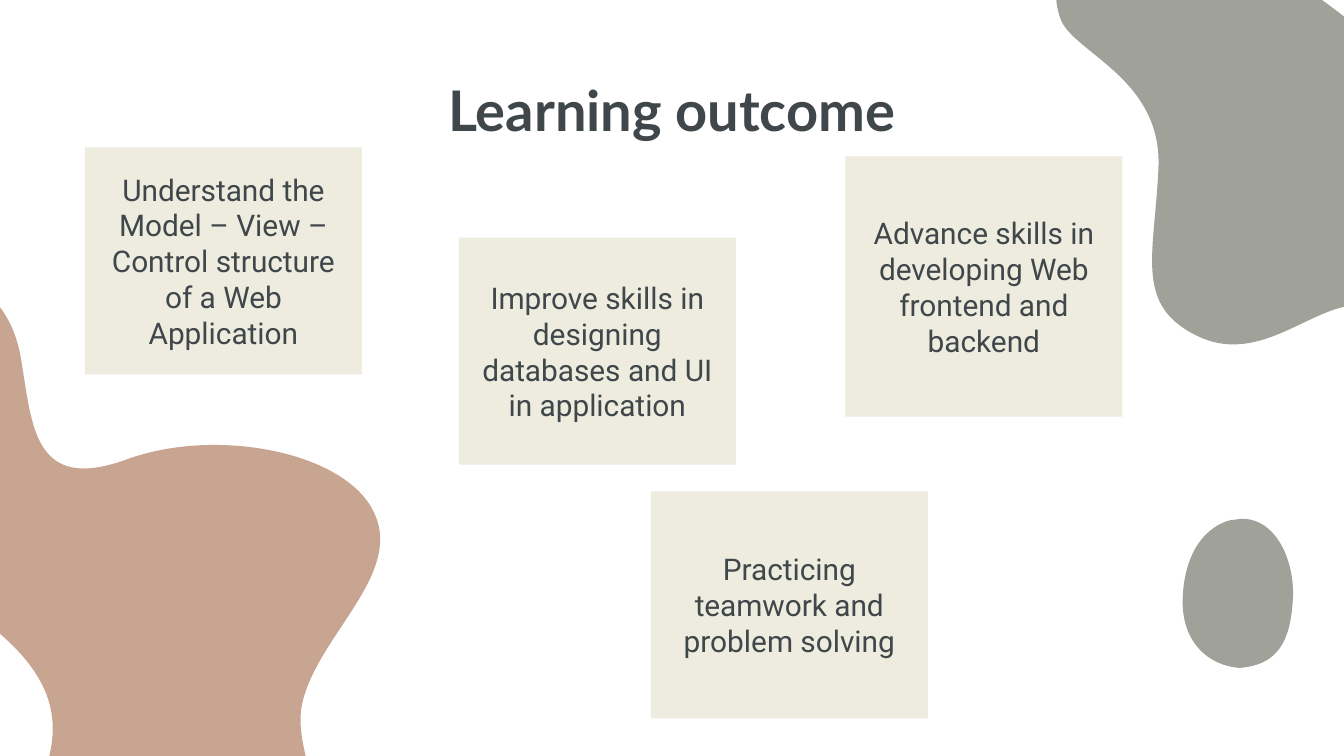
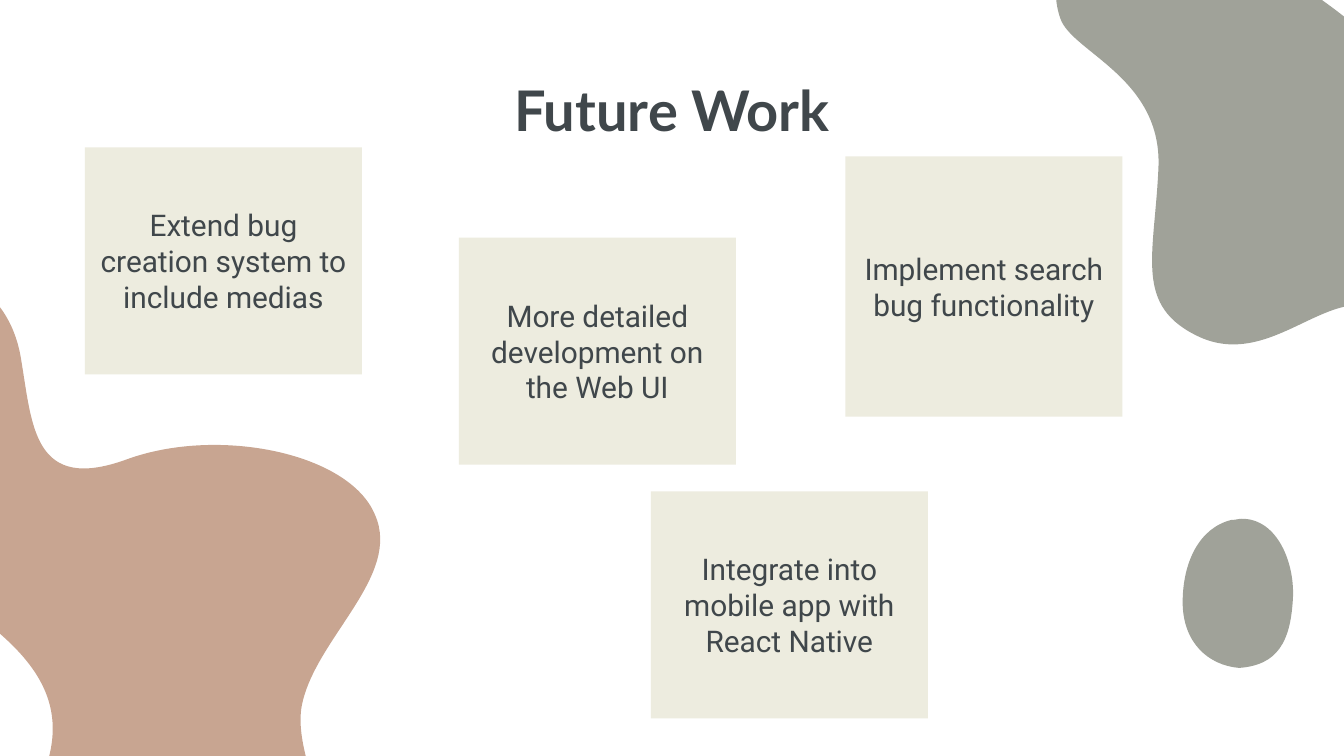
import math

import lxml.etree
import pptx
import pptx.dml.color
import pptx.enum.shapes
import pptx.enum.text
import pptx.oxml.ns
import pptx.util

COLORS = {
    "background": "FFFFFF",
    "ink": "40474B",
    "card": "EDECDF",
    "sage": "A0A299",
    "clay": "C8A591",
}
TITLE_FONT = "Lato"
BODY_FONT = "Roboto"
INSET = 7.2
CARD_WIDTH = 148.4
CARD_HEIGHT = 121.7
TALL_CARD_HEIGHT = 139.5
TITLE_FRAME = (56, 41, 608, 42.5)

CARD_FRAMES = [
    (45.5, 78.9, CARD_WIDTH, CARD_HEIGHT),
    (245.8, 127.3, CARD_WIDTH, CARD_HEIGHT),
    (452.9, 83.8, CARD_WIDTH, TALL_CARD_HEIGHT),
    (348.7, 263.2, CARD_WIDTH, CARD_HEIGHT),
]

BLOBS = [
    ("sage", (509, -13, 327.6, 201.6), 222.8, [
        (568.1, 10.1),
        (574.6, 28.1), (622.8, 41.8), (620.6, 90),
        (618.5, 137.5), (607, 164.2), (643, 180.7),
        (679, 196.6), (707.8, 157), (735.1, 164.2),
        (761.8, 171.4), (843.1, 145.4), (786.2, 74.2),
        (730.1, 3.6), (649.4, -44.6), (607.7, -41),
        (565.9, -38.2), (561.6, -7.9), (568.1, 10.1),
    ]),
    ("clay", (-144.7, 145.4, 368.6, 334.8), 11.2, [
        (11.5, 193.7),
        (17.3, 228.2), (18, 264.2), (67.7, 246.2),
        (116.6, 228.2), (187.2, 242.6), (200.9, 275.8),
        (215.3, 308.2), (169.9, 341.3), (162, 376.6),
        (154.1, 411.1), (198.7, 460.1), (151.9, 478.1),
        (105.8, 496.8), (3.6, 464.4), (23.8, 413.3),
        (43.2, 361.4), (-4.3, 335.5), (-45.4, 306),
        (-86.4, 275.8), (-123.1, 189.4), (-73.4, 159.8),
        (-23, 130.3), (6.5, 158.4), (11.5, 193.7),
    ]),
    ("sage", (633.6, 277.9, 61, 79.9), 0, [
        (665.3, 277.9),
        (663.8, 277.9), (661.7, 278.6), (659.5, 278.6),
        (642.2, 283), (633.6, 301.7), (633.6, 322.6),
        (633.6, 344.2), (647.3, 356.4), (663.8, 357.8),
        (684.7, 356.4), (691.2, 343.4), (692.6, 321.8),
        (694.1, 302.4), (684.7, 277.9), (665.3, 277.9),
    ]),
]

PAGES = [
    ("Learning outcome", [
        "Understand the Model – View – Control structure of a Web Application",
        "Improve skills in designing databases and UI in application",
        "Advance skills in developing Web frontend and backend",
        "Practicing teamwork and problem solving",
    ]),
    ("Future Work", [
        "Extend bug creation system to include medias",
        "More detailed development on the Web UI",
        "Implement search bug functionality",
        "Integrate into mobile app with React Native",
    ]),
]


def color(name):
    return pptx.dml.color.RGBColor.from_string(COLORS[name])


def paint(shape, name):
    shape.shadow.inherit = False
    shape.fill.solid()
    shape.fill.fore_color.rgb = color(name)
    shape.line.fill.background()


def write_text(shape, text, font, size, bold, anchor):
    frame = shape.text_frame
    frame.word_wrap = True
    frame.auto_size = pptx.enum.text.MSO_AUTO_SIZE.NONE
    frame.vertical_anchor = anchor
    frame.margin_left = frame.margin_right = pptx.util.Pt(INSET)
    frame.margin_top = frame.margin_bottom = pptx.util.Pt(INSET)
    para = frame.paragraphs[0]
    para.alignment = pptx.enum.text.PP_ALIGN.CENTER
    span = para.add_run()
    span.text = text
    span.font.name = font
    span.font.size = pptx.util.Pt(size)
    span.font.bold = bold
    span.font.color.rgb = color("ink")


def turn_into_frame(point, frame, rotation):
    left, top, width, height = frame
    angle = math.radians(-rotation)
    x = point[0] - left - width / 2
    y = point[1] - top - height / 2
    return (
        x * math.cos(angle) - y * math.sin(angle) + width / 2,
        x * math.sin(angle) + y * math.cos(angle) + height / 2,
    )


def add_command(outline, tag, points=()):
    command = lxml.etree.SubElement(outline, pptx.oxml.ns.qn(tag))
    for x, y in points:
        lxml.etree.SubElement(
            command,
            pptx.oxml.ns.qn("a:pt"),
            x=str(pptx.util.Pt(x)),
            y=str(pptx.util.Pt(y)),
        )


def draw_curves(blob, points):
    outline = next(blob.element.iter(pptx.oxml.ns.qn("a:path")))
    for command in list(outline):
        outline.remove(command)
    add_command(outline, "a:moveTo", points[:1])
    for index in range(1, len(points), 3):
        add_command(outline, "a:cubicBezTo", points[index:index + 3])
    add_command(outline, "a:close")


def add_blob(page, name, frame, rotation, points):
    left, top, width, height = map(pptx.util.Pt, frame)
    right, bottom = left + width, top + height
    builder = page.shapes.build_freeform(left, top)
    builder.add_line_segments([(right, top), (right, bottom), (left, bottom)])
    blob = builder.convert_to_shape()
    draw_curves(blob, [turn_into_frame(point, frame, rotation) for point in points])
    blob.rotation = rotation
    paint(blob, name)
    return blob


def decorate_layout(layout, page):
    for details in BLOBS:
        blob = add_blob(page, *details)
        layout.shapes.element.append(blob.element)


def add_title(page, text):
    title = page.shapes.title
    title.left, title.top, title.width, title.height = map(pptx.util.Pt, TITLE_FRAME)
    write_text(title, text, TITLE_FONT, 30, True, pptx.enum.text.MSO_ANCHOR.BOTTOM)


def add_card(page, frame, text):
    card = page.shapes.add_shape(
        pptx.enum.shapes.MSO_SHAPE.RECTANGLE, *map(pptx.util.Pt, frame)
    )
    paint(card, "card")
    write_text(card, text, BODY_FONT, 16, False, pptx.enum.text.MSO_ANCHOR.MIDDLE)


def main():
    deck = pptx.Presentation()
    deck.slide_width = pptx.util.Pt(720)
    deck.slide_height = pptx.util.Pt(405)
    fill = deck.slide_master.background.fill
    fill.solid()
    fill.fore_color.rgb = color("background")
    layout = deck.slide_layouts.get_by_name("Title Only")
    pages = [deck.slides.add_slide(layout) for _ in PAGES]
    decorate_layout(layout, pages[0])
    for page, (title, card_texts) in zip(pages, PAGES):
        add_title(page, title)
        for frame, text in zip(CARD_FRAMES, card_texts):
            add_card(page, frame, text)
    deck.save("out.pptx")


if __name__ == "__main__":
    main()
